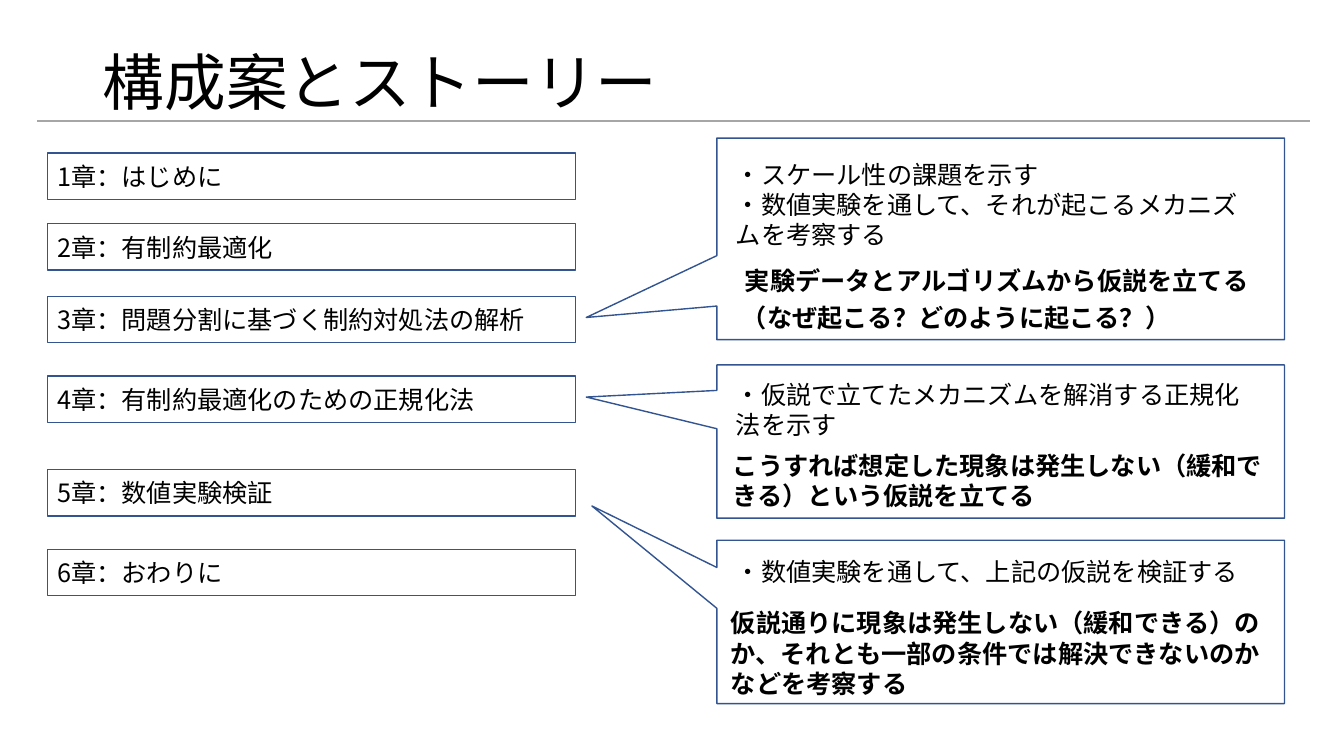
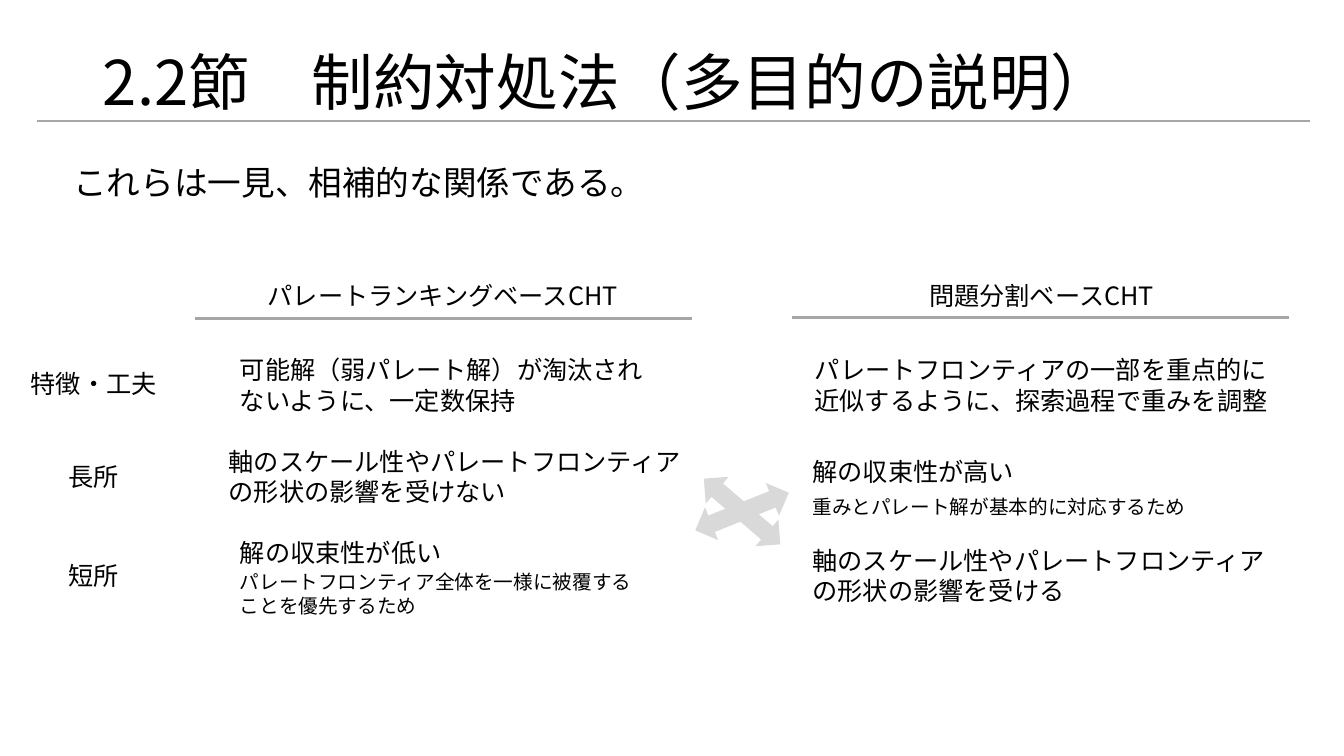
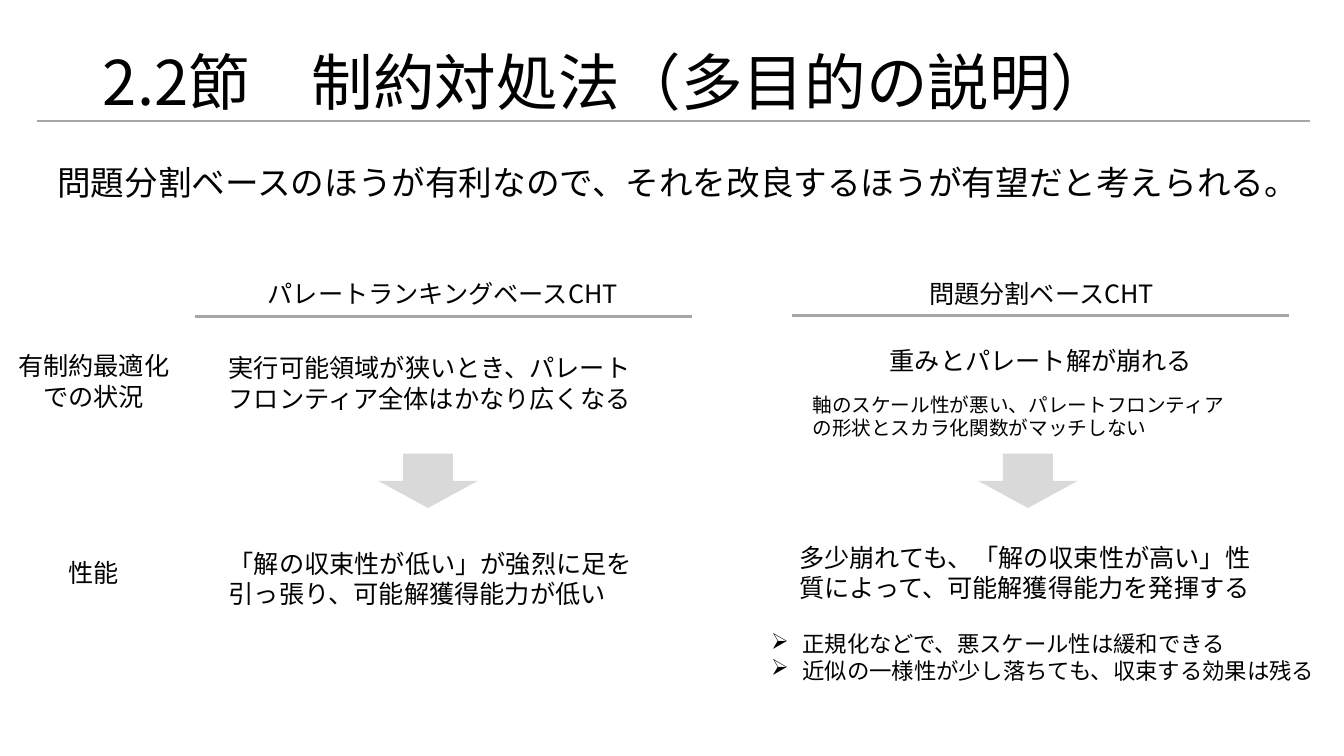
from dataclasses import dataclass
from typing import Optional

from lxml.etree import SubElement
from pptx import Presentation
from pptx.dml.color import RGBColor
from pptx.enum.shapes import MSO_CONNECTOR, MSO_SHAPE
from pptx.enum.text import MSO_ANCHOR, PP_ALIGN
from pptx.oxml.ns import qn
from pptx.util import Inches, Pt

FONT = "Noto Sans CJK JP"
BLACK, BLUE, GRAY, PALE = "000000", "325491", "A6A6A6", "D9D9D9"
LEFT, CENTER = PP_ALIGN.LEFT, PP_ALIGN.CENTER
TOP, MIDDLE = MSO_ANCHOR.TOP, MSO_ANCHOR.MIDDLE


@dataclass
class Note:
    text: str
    left: float
    top: float
    width: float
    height: float = 0.46
    size: float = 18
    bold: bool = False
    align: PP_ALIGN = LEFT
    anchor: MSO_ANCHOR = MIDDLE
    bullet: str = ""


@dataclass
class Callout:
    top: float
    height: float
    tip: tuple[float, float]


@dataclass
class Arrow:
    kind: MSO_SHAPE
    left: float
    top: float
    width: float
    height: float
    turn: float = 0


def color(code: str) -> RGBColor:
    return RGBColor.from_string(code)


def style(frame, size: float, bold: bool = False, align: PP_ALIGN = LEFT) -> None:
    for para in frame.paragraphs:
        para.alignment = align
        for run in para.runs:
            font = run.font
            font.name, font.size, font.bold = FONT, Pt(size), bold
            font.color.rgb = color(BLACK)
            SubElement(font._element, qn("a:ea"), typeface=FONT)


def add_bullets(frame, mark: str, indent: float) -> None:
    for para in frame.paragraphs:
        props = para._p.get_or_add_pPr()
        props.set("marL", str(Inches(indent)))
        props.set("indent", str(-Inches(indent)))
        SubElement(props, qn("a:buChar"), char=mark)


def add_note(slide, note: Note) -> None:
    box = slide.shapes.add_textbox(
        Inches(note.left), Inches(note.top), Inches(note.width), Inches(note.height))
    frame = box.text_frame
    frame.word_wrap = True
    frame.vertical_anchor = note.anchor
    frame.text = note.text
    style(frame, note.size, note.bold, note.align)
    if note.bullet:
        add_bullets(frame, note.bullet, 0.31)


def add_shape(slide, kind: MSO_SHAPE, left: float, top: float, width: float,
              height: float, fill: Optional[str] = None, line: Optional[str] = None):
    shape = slide.shapes.add_shape(
        kind, Inches(left), Inches(top), Inches(width), Inches(height))
    shape.shadow.inherit = False
    for part, code in ((shape.fill, fill), (shape.line.fill, line)):
        if code:
            part.solid()
            part.fore_color.rgb = color(code)
        else:
            part.background()
    if line:
        shape.line.width = Pt(1)
    return shape


def add_rule(slide, left: float, right: float, top: float, weight: float) -> None:
    rule = slide.shapes.add_connector(
        MSO_CONNECTOR.STRAIGHT, Inches(left), Inches(top), Inches(right), Inches(top))
    rule.line.color.rgb = color(GRAY)
    rule.line.width = Pt(weight)
    SubElement(rule._element.spPr, qn("a:effectLst"))


def add_arrow(slide, arrow: Arrow) -> None:
    shape = add_shape(slide, arrow.kind, arrow.left, arrow.top,
                      arrow.width, arrow.height, fill=PALE)
    shape.rotation = arrow.turn


def add_slide(deck, text: str):
    """Add a slide with the shared title and the rule under it."""
    slide = deck.slides.add_slide(deck.slide_layouts[5])
    title = slide.shapes.title
    title.left, title.top = Inches(0.92), Inches(0.4)
    title.width, title.height = Inches(11.5), Inches(0.89)
    frame = title.text_frame
    frame.text = text
    frame.vertical_anchor = MIDDLE
    frame.paragraphs[0].line_spacing = 0.9
    style(frame, 44)
    add_rule(slide, 0.37, 12.99, 1.2, 1)
    return slide


def add_story(deck) -> None:
    slide = add_slide(deck, "構成案とストーリー")
    chapters = [
        ("1章：はじめに", 1.52),
        ("2章：有制約最適化", 2.22),
        ("3章：問題分割に基づく制約対処法の解析", 2.94),
        ("4章：有制約最適化のための正規化法", 3.73),
        ("5章：数値実験検証", 4.66),
        ("6章：おわりに", 5.45),
    ]
    for text, top in chapters:
        frame = add_shape(slide, MSO_SHAPE.RECTANGLE, 0.47, top, 5.24, 0.46,
                          line=BLUE).text_frame
        frame.text = text
        frame.vertical_anchor = MIDDLE
        style(frame, 18)

    callouts = [
        Callout(1.37, 2, (-0.73, 0.39)),
        Callout(3.62, 1.52, (-0.73, -0.29)),
        Callout(5.36, 1.62, (-0.72, -0.71)),
    ]
    for item in callouts:
        shape = add_shape(slide, MSO_SHAPE.RECTANGULAR_CALLOUT, 7.11, item.top,
                          5.63, item.height, line=BLUE)
        shape.adjustments[0], shape.adjustments[1] = item.tip

    notes = [
        Note("・スケール性の課題を示す\n"
             "・数値実験を通して、それが起こるメカニズムを考察する", 7.2, 1.53, 5.39, 1.01),
        Note("・仮説で立てたメカニズムを解消する正規化法を示す", 7.2, 3.71, 5.39, 0.71),
        Note("・数値実験を通して、上記の仮説を検証する", 7.2, 5.47, 5.28, 0.4),
        Note("実験データとアルゴリズムから仮説を立てる", 7.29, 2.58, 5.51, 0.4, bold=True),
        Note("（なぜ起こる？どのように起こる？）", 7.26, 2.95, 5.51, 0.4, bold=True),
        Note("こうすれば想定した現象は発生しない（緩和できる）という仮説を立てる",
             7.17, 4.42, 5.51, 0.71, bold=True),
        Note("仮説通りに現象は発生しない（緩和できる）のか、"
             "それとも一部の条件では解決できないのかなどを考察する",
             7.15, 5.98, 5.51, 1.01, bold=True),
    ]
    for note in notes:
        note.anchor = TOP
        add_note(slide, note)


def add_compare(deck, top: float, notes: list[Note], arrows: list[Arrow]) -> None:
    """Add a slide that sets the two methods side by side, headed at top."""
    slide = add_slide(deck, "2.2節　制約対処法（多目的の説明）")
    add_note(slide, Note("パレートランキングベースCHT", 1.77, top, 5.24, align=CENTER))
    add_note(slide, Note("問題分割ベースCHT", 7.71, top, 5.24, align=CENTER))
    add_rule(slide, 1.93, 6.86, top + 0.46, 2.25)
    add_rule(slide, 7.86, 12.78, top + 0.45, 2.25)
    for note in notes:
        add_note(slide, note)
    for arrow in arrows:
        add_arrow(slide, arrow)


def main() -> None:
    deck = Presentation()
    deck.slide_width, deck.slide_height = Inches(13.33), Inches(7.5)
    add_story(deck)

    traits = [
        Note("これらは一見、相補的な関係である。", 0.63, 1.58, 5.87, size=24),
        Note("特徴・工夫", 0, 3.57, 1.86, align=CENTER),
        Note("可能解（弱パレート解）が淘汰されないように、一定数保持", 2.28, 3.59, 4.22),
        Note("パレートフロンティアの一部を重点的に近似するように、探索過程で重みを調整",
             7.96, 3.59, 4.73, align=CENTER),
        Note("長所", 0, 4.5, 1.86, align=CENTER),
        Note("軸のスケール性やパレートフロンティアの形状の影響を受けない", 2.17, 4.5, 4.84),
        Note("解の収束性が高い", 7.96, 4.45, 4.22),
        Note("重みとパレート解が基本的に対応するため", 7.96, 4.8, 4.47, size=14),
        Note("短所", 0, 5.48, 1.86, align=CENTER),
        Note("解の収束性が低い", 2.28, 5.25, 4.22),
        Note("パレートフロンティア全体を一様に被覆することを優先するため",
             2.28, 5.62, 4.22, 0.54, size=14),
        Note("軸のスケール性やパレートフロンティアの形状の影響を受ける", 7.96, 5.48, 4.73),
    ]
    cross = [Arrow(MSO_SHAPE.LEFT_RIGHT_ARROW, 6.86, 4.9, 1, 0.35, turn)
             for turn in (338.1, 40.7)]
    add_compare(deck, 2.7, traits, cross)

    results = [
        Note("問題分割ベースのほうが有利なので、それを改良するほうが有望だと考えられる。",
             0.47, 1.58, 12.31, size=24),
        Note("有制約最適化での状況", 0, 3.55, 1.86, align=CENTER),
        Note("実行可能領域が狭いとき、パレートフロンティア全体はかなり広くなる",
             2.17, 3.57, 4.22),
        Note("重みとパレート解が崩れる", 7.96, 3.35, 4.73, align=CENTER),
        Note("軸のスケール性が悪い、パレートフロンティアの形状とスカラ化関数がマッチしない",
             7.96, 3.9, 4.47, size=14),
        Note("性能", 0, 5.45, 1.86, align=CENTER),
        Note("「解の収束性が低い」が強烈に足を引っ張り、可能解獲得能力が低い",
             2.17, 5.51, 4.33),
        Note("多少崩れても、「解の収束性が高い」性質によって、可能解獲得能力を発揮する",
             7.83, 5.45, 4.73),
        Note("正規化などで、悪スケール性は緩和できる\n"
             "近似の一様性が少し落ちても、収束する効果は残る",
             7.55, 6.12, 5.68, 0.8, size=16, bullet="➢"),
    ]
    drops = [Arrow(MSO_SHAPE.DOWN_ARROW, left, 4.5, 0.99, 0.54) for left in (3.75, 9.7)]
    add_compare(deck, 2.68, results, drops)
    deck.save("out.pptx")


if __name__ == "__main__":
    main()
